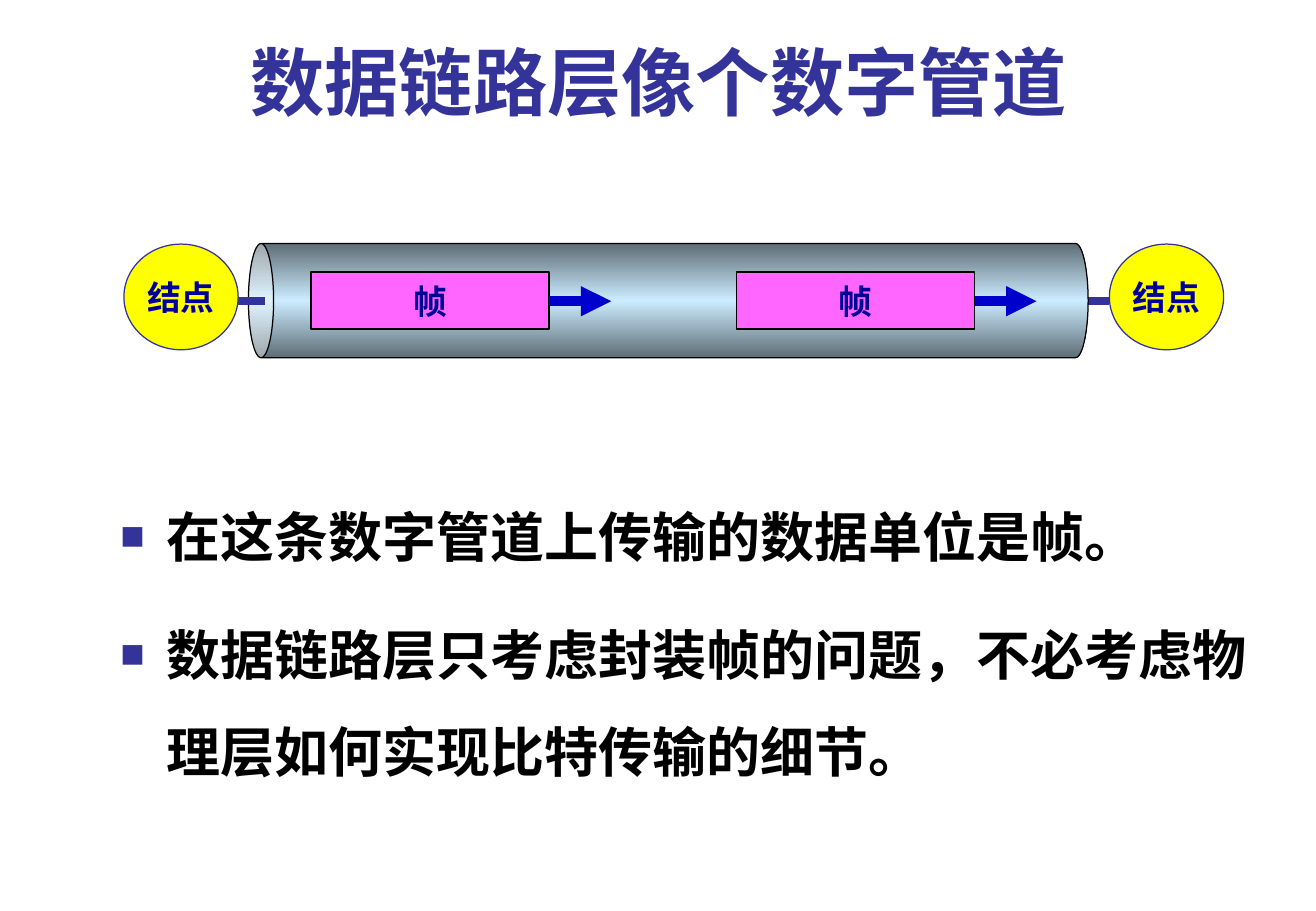
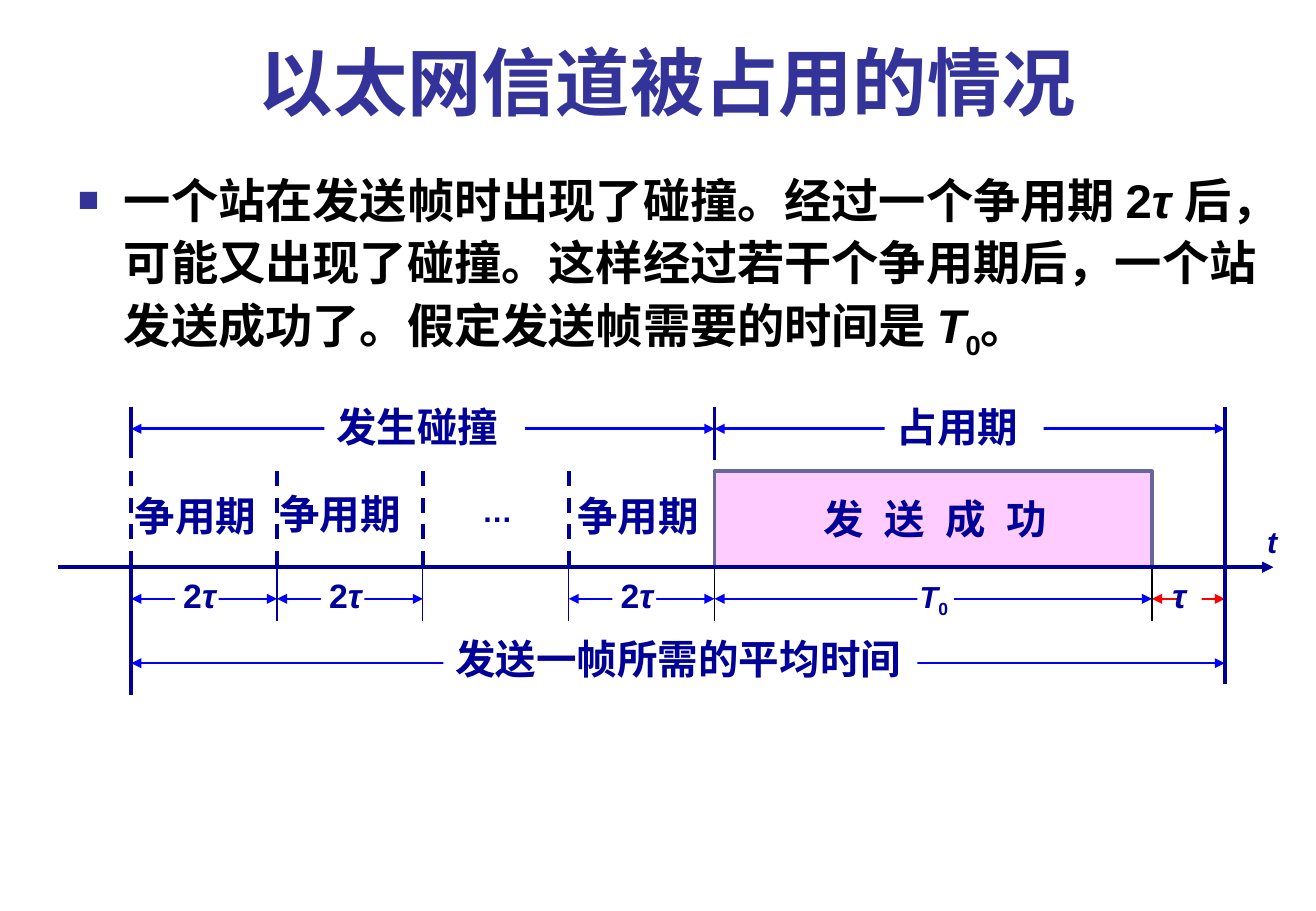
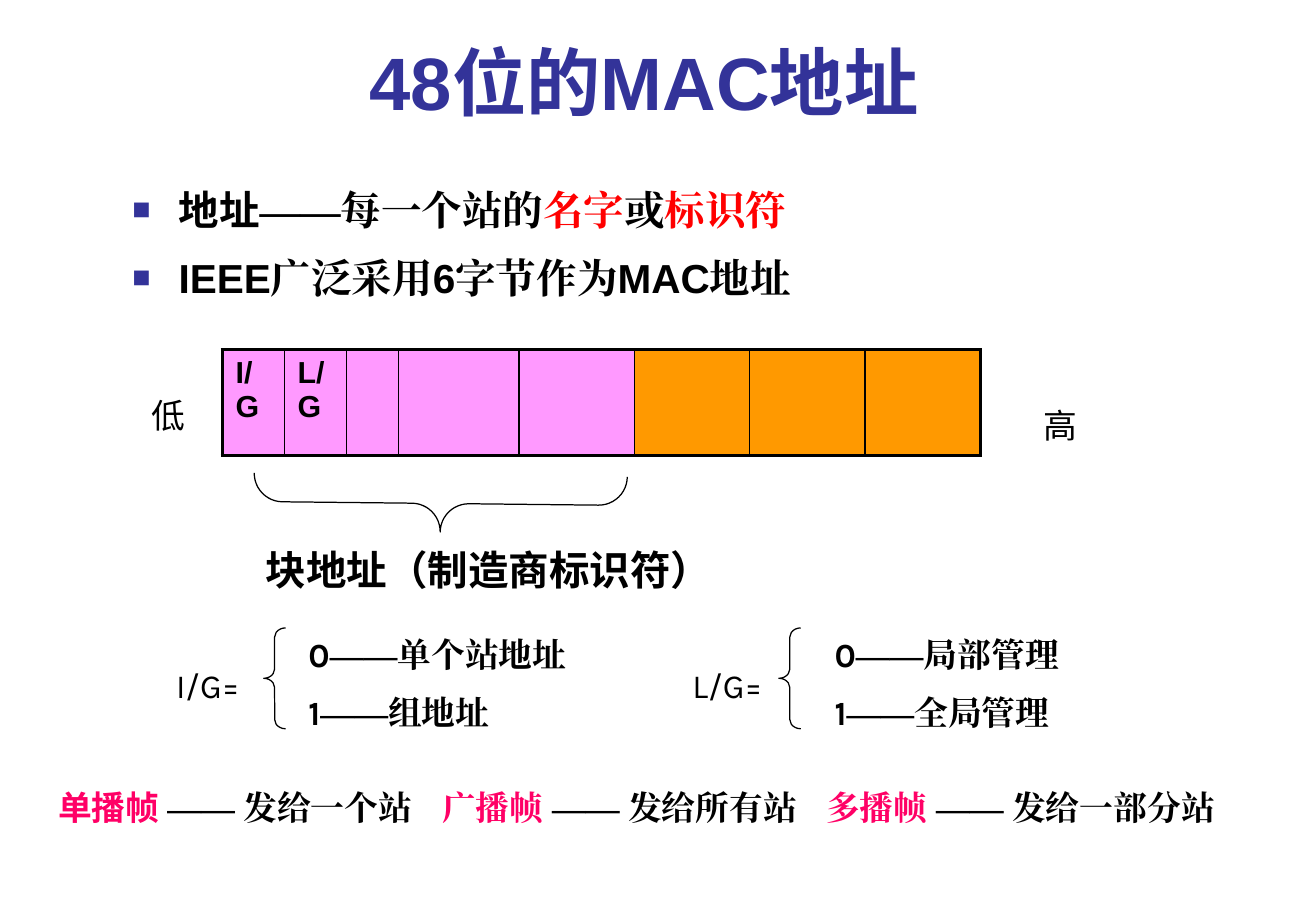
from copy import deepcopy
from dataclasses import dataclass
from lxml.etree import SubElement
from pptx import Presentation
from pptx.dml.color import RGBColor
from pptx.enum.dml import MSO_LINE
from pptx.enum.shapes import MSO_CONNECTOR, MSO_SHAPE
from pptx.enum.text import MSO_ANCHOR, MSO_AUTO_SIZE, PP_ALIGN
from pptx.oxml.ns import qn
from pptx.util import Inches, Pt


@dataclass(frozen=True)
class Theme:
    sans: str = "Arial"
    label: str = "Karla"
    serif: str = "Times New Roman"
    title: str = "333399"
    navy: str = "000099"
    blue: str = "0000FF"
    arrow: str = "0000CC"
    red: str = "FF0000"
    rose: str = "FF0066"
    black: str = "000000"
    white: str = "FFFFFF"
    yellow: str = "FFFF00"
    magenta: str = "FF66FF"
    pink: str = "FFCCFF"
    border: str = "666699"
    vendor: str = "FF99FF"
    serial: str = "FF9900"
    pipe_edge: str = "5E6D76"
    pipe_middle: str = "CCECFF"
    title_size: int = 44
    heading_size: int = 24
    label_size: int = 20
    small_size: int = 18


theme = Theme()


def write(shape, paragraphs, size, color=theme.black, font=theme.sans, bold=True, align=PP_ALIGN.LEFT,
          anchor=MSO_ANCHOR.TOP, wrap=True, line_spacing=None, before=0, after=0, bullet=False, tabs=()):
    frame = shape.text_frame
    frame.auto_size = MSO_AUTO_SIZE.NONE
    frame.word_wrap = wrap
    frame.vertical_anchor = anchor
    for index, runs in enumerate(paragraphs):
        paragraph = frame.add_paragraph() if index else frame.paragraphs[0]
        properties = paragraph._p.get_or_add_pPr()
        if bullet:
            properties.set("marL", str(Inches(0.38)))
            properties.set("indent", str(-Inches(0.38)))
            bullet_color = SubElement(properties, qn("a:buClr"))
            SubElement(bullet_color, qn("a:srgbClr"), val=theme.title)
            SubElement(properties, qn("a:buSzPct"), val="75000")
            SubElement(properties, qn("a:buFont"), typeface=theme.sans)
            SubElement(properties, qn("a:buChar"), char="■")
        if tabs:
            tab_list = SubElement(properties, qn("a:tabLst"))
            for position in tabs:
                SubElement(tab_list, qn("a:tab"), pos=str(Inches(position)), algn="l")
        paragraph.alignment = align
        paragraph.line_spacing = line_spacing
        paragraph.space_before = Pt(before if index else 0)
        paragraph.space_after = Pt(after)
        for item in runs:
            text, style = (item, {}) if isinstance(item, str) else item
            run = paragraph.add_run()
            run.text = text
            run.font.size = Pt(size)
            run.font.bold = bold
            run.font.italic = style.get("italic", False)
            run.font.name = style.get("font", font)
            run.font.color.rgb = RGBColor.from_string(style.get("color", color))
            run_properties = run._r.get_or_add_rPr()
            if "font" in style:
                east_asian = deepcopy(run_properties.find(qn("a:latin")))
                east_asian.tag = qn("a:ea")
                run_properties.find(qn("a:latin")).addnext(east_asian)
            for name in ("baseline", "spc"):
                if name in style:
                    run_properties.set(name, str(style[name]))


def draw_line(slide, start, end, color, width, heads=(), dashed=False):
    connector = slide.shapes.add_connector(MSO_CONNECTOR.STRAIGHT, *map(Inches, start + end))
    connector.line.color.rgb = RGBColor.from_string(color)
    connector.line.width = Pt(width)
    if dashed:
        connector.line.dash_style = MSO_LINE.DASH
    properties = connector._element.spPr
    for head in heads:
        SubElement(properties.find(qn("a:ln")), qn(head), type="triangle")
    SubElement(properties, qn("a:effectLst"))


END_ARROW = ("a:tailEnd",)
BOTH_ARROWS = ("a:headEnd", "a:tailEnd")
ITALIC = {"italic": True}
SUBSCRIPT = {"baseline": -25000}
DASH = ("——", {"font": theme.serif})
RED = {"color": theme.red}
ROSE = {"color": theme.rose}
WIDE_TITLE = (0.54, 0.21, 9.91, 0.87)

presentation = Presentation()
presentation.slide_width = Inches(10.83)
presentation.slide_height = Inches(7.5)

outline = [
    ("数据链路层像个数字管道 ", WIDE_TITLE, PP_ALIGN.CENTER, (0.89, 3.83, 9.91, 2.52), 32, 1.5, 6,
     [["在这条数字管道上传输的数据单位是帧。"],
      ["数据链路层只考虑封装帧的问题，不必考虑物理层如何实现比特传输的细节。"]]),
    ("以太网信道被占用的情况", WIDE_TITLE, PP_ALIGN.CENTER, (0.54, 1.31, 9.91, 5.4), 28, 1.1, 0,
     [["一个站在发送帧时出现了碰撞。经过一个争用期 2", ("τ ", ITALIC),
       "后，可能又出现了碰撞。这样经过若干个争用期后，一个站发送成功了。假定发送帧需要的时间是 ",
       ("T", ITALIC), ("0", SUBSCRIPT), "。"]]),
    ("48位的MAC地址", (2.94, 0.27, 5.55, 0.81), PP_ALIGN.LEFT, (0.99, 1.39, 7.4, 1.26), 24, 1.2, 0,
     [["地址", DASH, "每一个站的", ("名字", RED), "或", ("标识符", RED)],
      ["IEEE广泛采用6字节作为MAC地址"]]),
]
slides = []
for title, title_box, align, body_box, size, line_spacing, after, bullets in outline:
    slide = presentation.slides.add_slide(presentation.slide_layouts[1])
    heading, body = slide.placeholders
    for placeholder, box in ((heading, title_box), (body, body_box)):
        placeholder.left, placeholder.top, placeholder.width, placeholder.height = map(Inches, box)
    write(heading, [[title]], theme.title_size, theme.title, align=align, anchor=MSO_ANCHOR.BOTTOM)
    write(body, bullets, size, line_spacing=line_spacing, before=6, after=after, bullet=True)
    slides.append(slide)
pipe_slide, channel_slide, address_slide = slides

pipe_axis = 2.48
draw_line(pipe_slide, (1.96, pipe_axis), (9.13, pipe_axis), theme.title, 4.5)
pipe = pipe_slide.shapes.add_shape(MSO_SHAPE.CAN, *map(Inches, (5.03, -0.98, 0.94, 6.91)))
pipe.rotation = 270
pipe.adjustments[0] = 0.22
pipe.shadow.inherit = False
pipe.line.color.rgb = RGBColor.from_string(theme.black)
pipe.line.width = Pt(0.75)
pipe.fill.gradient()
pipe.fill.gradient_angle = 0
stop_list = pipe._element.spPr.find(".//" + qn("a:gsLst"))
stop_list.insert(1, deepcopy(stop_list[0]))
for index, stop in enumerate(pipe.fill.gradient_stops):
    stop.position = index / 2
    stop.color.rgb = RGBColor.from_string(theme.pipe_middle if index == 1 else theme.pipe_edge)
draw_line(pipe_slide, (1.96, pipe_axis), (2.18, pipe_axis), theme.title, 4.5)

nodes = [(MSO_SHAPE.OVAL, (left, 2.01, 0.94, 0.87), theme.yellow, theme.title, "结点") for left in (1.02, 9.13)]
frames = [(MSO_SHAPE.RECTANGLE, (left, 2.24, 1.96, 0.47), theme.magenta, theme.black, "帧") for left in (2.56, 6.06)]
for kind, box, fill, outline_color, text in nodes + frames:
    shape = pipe_slide.shapes.add_shape(kind, *map(Inches, box))
    shape.shadow.inherit = False
    shape.fill.solid()
    shape.fill.fore_color.rgb = RGBColor.from_string(fill)
    shape.line.color.rgb = RGBColor.from_string(outline_color)
    shape.line.width = Pt(0.75)
    write(shape, [[text]], theme.label_size, theme.navy, align=PP_ALIGN.CENTER, anchor=MSO_ANCHOR.MIDDLE, wrap=False)
for kind, (left, top, width, height), *rest in frames:
    draw_line(pipe_slide, (left + width, pipe_axis), (left + width + 0.51, pipe_axis), theme.arrow, 6, END_ARROW)

tau = 0.6
moments = [1.08 + tau * count for count in range(16)]
top_row, period_row, axis_row, span_row, total_row = 3.53, 3.88, 4.67, 4.93, 5.46
spans = [
    (0, 15, total_row, theme.blue), (0, 8, top_row, theme.blue), (8, 15, top_row, theme.blue),
    (0, 2, span_row, theme.blue), (2, 4, span_row, theme.blue), (6, 8, span_row, theme.blue),
    (8, 14, span_row, theme.blue), (14, 15, span_row, theme.red),
]
for first, last, row, color in spans:
    draw_line(channel_slide, (moments[first], row), (moments[last], row), color, 1.5, BOTH_ARROWS)

contention_starts = [moments[count] for count in (0, 2, 6)]
covers = [(start + 0.36, 4.75, 0.36, 0.3) for start in contention_starts]
covers += [(7.55, 4.76, 0.3, 0.35), (9.69, 4.82, 0.2, 0.23)]
for box in covers:
    cover = channel_slide.shapes.add_shape(MSO_SHAPE.RECTANGLE, *map(Inches, box))
    cover.shadow.inherit = False
    cover.fill.solid()
    cover.fill.fore_color.rgb = RGBColor.from_string(theme.white)
    cover.line.fill.background()

builder = channel_slide.shapes.build_freeform(Inches(moments[8]), Inches(axis_row))
builder.add_line_segments(
    [(Inches(moments[count]), Inches(row)) for count, row in ((8, period_row), (14, period_row), (14, axis_row))],
    close=False)
success = builder.convert_to_shape()
success.shadow.inherit = False
success.fill.solid()
success.fill.fore_color.rgb = RGBColor.from_string(theme.pink)
success.line.color.rgb = RGBColor.from_string(theme.border)
success.line.width = Pt(2.25)

for count in (0, 2, 4, 6):
    draw_line(channel_slide, (moments[count], period_row), (moments[count], axis_row), theme.navy, 2.25, dashed=True)
ticks = [(count, axis_row, 5.11, theme.navy, 0.75) for count in (2, 4, 6)]
ticks += [(count, axis_row, 5.11, theme.black, 0.75) for count in (8, 14)]
ticks += [(0, axis_row, 5.72, theme.navy, 2.25), (15, 3.35, 5.63, theme.navy, 2.25),
          (0, 3.35, 3.77, theme.navy, 2.25), (8, 3.35, 3.79, theme.navy, 2.25)]
for count, top, bottom, color, width in ticks:
    draw_line(channel_slide, (moments[count], top), (moments[count], bottom), color, width)

labels = [
    ((6.68, 4.02, 2.21, 0.5), [("发 送 成 功", {"spc": 333})], theme.heading_size, False),
    ((1.01, 3.99, 1.31, 0.5), ["争用期"], theme.heading_size, False),
    ((2.2, 3.98, 1.31, 0.5), ["争用期"], theme.heading_size, False),
    ((4.65, 3.99, 1.31, 0.5), ["争用期"], theme.heading_size, False),
    ((7.28, 3.26, 1.31, 0.5), ["占用期"], theme.heading_size, True),
    ((2.67, 3.26, 1.65, 0.5), ["发生碰撞"], theme.heading_size, True),
    ((3.65, 5.17, 3.9, 0.5), ["发送一帧所需的平均时间"], theme.heading_size, True),
    ((3.87, 4, 0.45, 0.4), ["…"], theme.small_size, False),
    ((7.47, 4.71, 0.45, 0.4), [("T", ITALIC), ("0", SUBSCRIPT)], theme.small_size, False),
    ((9.55, 4.68, 0.32, 0.44), [("τ", ITALIC)], theme.label_size, False),
    ((10.33, 4.26, 0.29, 0.4), [("t", ITALIC)], theme.small_size, False),
]
labels += [((start + 0.33, 4.68, 0.53, 0.44), ["2", ("τ", ITALIC)], theme.label_size, False)
           for start in contention_starts]
for box, runs, size, opaque in labels:
    label = channel_slide.shapes.add_textbox(*map(Inches, box))
    if opaque:
        label.fill.solid()
        label.fill.fore_color.rgb = RGBColor.from_string(theme.white)
    write(label, [runs], size, theme.navy, wrap=False)
draw_line(channel_slide, (0.48, axis_row), (10.48, axis_row), theme.navy, 2.25, END_ARROW)

widths = [0.51, 0.51, 0.43, 0.99] + [0.95] * 4
table_frame = address_slide.shapes.add_table(1, len(widths), *map(Inches, (1.83, 2.88, sum(widths), 0.87)))
table = table_frame.table
table.first_row = False
table.horz_banding = False
for index, width in enumerate(widths):
    table.columns[index].width = Inches(width)
    cell = table.cell(0, index)
    cell.margin_left = cell.margin_right = Inches(0.11)
    cell.fill.solid()
    cell.fill.fore_color.rgb = RGBColor.from_string(theme.vendor if index < 5 else theme.serial)
    if index < 2:
        run = cell.text_frame.paragraphs[0].add_run()
        run.text = ("I/G", "L/G")[index]
        run.font.size = Pt(theme.small_size)
        run.font.bold = True
        run.font.name = theme.sans
        run.font.color.rgb = RGBColor.from_string(theme.black)
    left_width = 1 if index else 2.25
    right_width = 1 if index < len(widths) - 1 else 2.25
    cell_properties = cell._tc.get_or_add_tcPr()
    borders = (("a:lnL", left_width), ("a:lnR", right_width), ("a:lnT", 2.25), ("a:lnB", 2.25))
    for position, (side, points) in enumerate(borders):
        border = SubElement(cell_properties, qn(side), w=str(Pt(points)))
        border_fill = SubElement(border, qn("a:solidFill"))
        SubElement(border_fill, qn("a:srgbClr"), val=theme.black)
        cell_properties.insert(position, border)

braces = [((left, 5.17, 0.18, 0.83), 0.42, 0) for left in (2.17, 6.41)]
braces.append(((3.39, 2.61, 0.47, 3.07), 0.5, 270.6))
for box, curve, rotation in braces:
    brace = address_slide.shapes.add_shape(MSO_SHAPE.LEFT_BRACE, *map(Inches, box))
    brace.adjustments[0] = curve
    brace.rotation = rotation
    brace.shadow.inherit = False
    brace.fill.background()
    brace.line.color.rgb = RGBColor.from_string(theme.black)
    brace.line.width = Pt(0.75)

notes = [
    ((1.15, 3.2, 0.63, 0.43), [["低"]], theme.label_size, False),
    ((8.49, 3.28, 0.63, 0.43), [["高"]], theme.label_size, False),
    ((1.35, 5.42, 0.99, 0.43), [["I/G="]], theme.label_size, False),
    ((5.6, 5.42, 0.99, 0.43), [["L/G="]], theme.label_size, False),
    ((2.44, 5.17, 2.64, 0.93), [["0", DASH, "单个站地址"], ["1", DASH, "组地址"]], theme.label_size, True),
    ((6.77, 5.17, 2.44, 0.93), [["0", DASH, "局部管理"], ["1", DASH, "全局管理"]], theme.label_size, True),
    ((2.09, 4.44, 3.94, 0.5), [["块地址（制造商标识符）"]], theme.heading_size, True),
]
for box, paragraphs, size, bold in notes:
    write(address_slide.shapes.add_textbox(*map(Inches, box)), paragraphs, size,
          font=theme.label, bold=bold, before=10)

frame_kinds = [("单播帧 ", "发给一个站\t"), ("广播帧 ", "发给所有站\t"), ("多播帧 ", "发给一部分站")]
summary = [run for name, target in frame_kinds for run in ((name, ROSE), DASH, " " + target)]
write(address_slide.shapes.add_textbox(*map(Inches, (0.38, 6.43, 10.15, 0.44))), [summary],
      theme.label_size, font=theme.label, tabs=(3.16, 6.32))

presentation.save("out.pptx")
